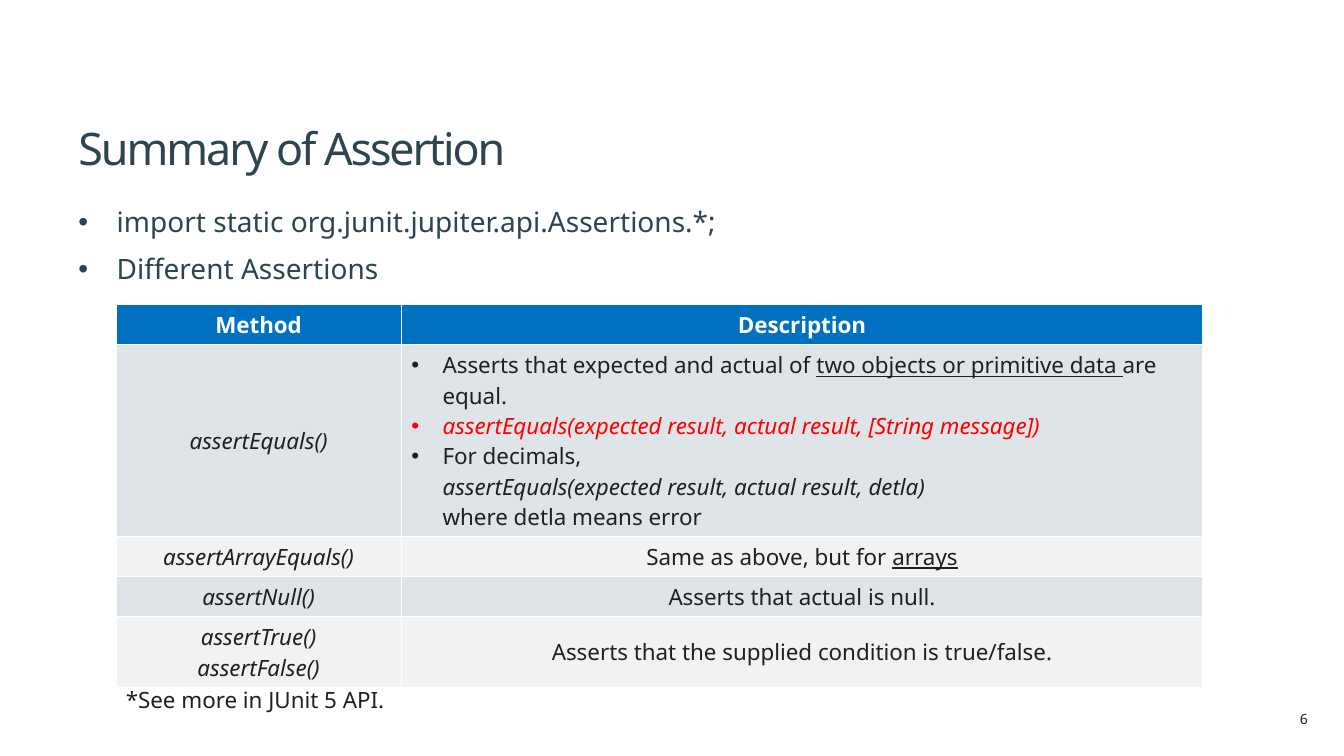
import pptx
import pptx.dml.color
import pptx.enum.text
import pptx.oxml.ns
import pptx.util
from lxml import etree

Inches = pptx.util.Inches
Pt = pptx.util.Pt
RGBColor = pptx.dml.color.RGBColor
PP_ALIGN = pptx.enum.text.PP_ALIGN
MSO_ANCHOR = pptx.enum.text.MSO_ANCHOR
qn = pptx.oxml.ns.qn

SLATE = RGBColor(0x2E, 0x44, 0x4E)
INK = RGBColor(0x23, 0x1F, 0x20)
WHITE = RGBColor(0xFF, 0xFF, 0xFF)
RED = RGBColor(0xFF, 0x00, 0x00)
HEADER_BLUE = RGBColor(0x00, 0x70, 0xC0)
BAND_DARK = RGBColor(0xDF, 0xE4, 0xE8)
BAND_LIGHT = RGBColor(0xF0, 0xF2, 0xF4)

BREAK = ("\n", "")

# A cell is a list of paragraphs, a paragraph a list of (text, style) pieces.
# Style letters: b bold, i italic, u underlined, r red.
HEADER = [[[("Method", "b")]], [[("Description", "b")]]]
ROWS = [
    [
        [[("assertEquals()", "i")]],
        [
            [("Asserts that expected and actual of ", ""),
             ("two objects or primitive data ", "u"), ("are equal.", "")],
            [("assertEquals(expected result, actual result, [String message])", "ir")],
            [("For decimals, ", ""), BREAK,
             ("assertEquals(expected result, actual result, detla)", "i"), BREAK,
             ("where detla means error", "")],
        ],
    ],
    [[[("assertArrayEquals()", "i")]],
     [[("Same as above, but for ", ""), ("arrays", "u")]]],
    [[[("assertNull()", "i")]], [[("Asserts that actual is null.", "")]]],
    [[[("assertTrue()", "i"), BREAK, ("assertFalse()", "i")]],
     [[("Asserts that the supplied condition is true/false.", "")]]],
]


class SlideBuilder:
    font = "Noto Sans"

    def __init__(self, slide):
        self.slide = slide

    def add_pieces(self, p, pieces, size, color):
        """Fill a paragraph with styled pieces."""
        for text, style in pieces:
            if text == "\n":
                p.add_line_break()
                continue
            r = p.add_run()
            r.text = text
            r.font.name = self.font
            r.font.size = Pt(size)
            r.font.color.rgb = RED if "r" in style else color
            r.font.bold = "b" in style
            r.font.italic = "i" in style
            r.font.underline = "u" in style
        for br in p._p.findall(qn("a:br")):
            etree.SubElement(br, qn("a:rPr")).set("sz", str(size * 100))

    def bullet(self, p, indent):
        pPr = p._p.get_or_add_pPr()
        pPr.set("marL", str(Inches(indent)))
        pPr.set("indent", str(-Inches(indent)))
        etree.SubElement(pPr, qn("a:buFont")).set("typeface", "Arial")
        etree.SubElement(pPr, qn("a:buChar")).set("char", "•")

    def text(self, box, lines, size, color, align=PP_ALIGN.LEFT,
             anchor=MSO_ANCHOR.TOP, wrap=True):
        """Add a text box with one paragraph per line and return its paragraphs."""
        sp = self.slide.shapes.add_textbox(*map(Inches, box))
        tf = sp.text_frame
        tf.word_wrap = wrap
        tf.vertical_anchor = anchor
        for i, line in enumerate(lines):
            p = tf.add_paragraph() if i else tf.paragraphs[0]
            p.alignment = align
            self.add_pieces(p, [(line, "")], size, color)
        return tf.paragraphs

    def title(self, box, line):
        p, = self.text(box, [line], 32, SLATE, anchor=MSO_ANCHOR.BOTTOM)
        p.runs[0].font._element.set("spc", "-150")

    def bullets(self, box, lines):
        for p in self.text(box, lines, 20, SLATE):
            p.line_spacing = 0.9
            p.space_after = Pt(12)
            self.bullet(p, 0.38)

    def cell(self, cell, paragraphs, fill, color):
        cell.fill.solid()
        cell.fill.fore_color.rgb = fill
        cell.vertical_anchor = MSO_ANCHOR.MIDDLE
        tf = cell.text_frame
        for i, pieces in enumerate(paragraphs):
            p = tf.add_paragraph() if i else tf.paragraphs[0]
            if len(paragraphs) > 1:
                p.alignment = PP_ALIGN.LEFT
                self.bullet(p, 0.31)
            else:
                p.alignment = PP_ALIGN.CENTER
            self.add_pieces(p, pieces, 16, color)

    def table(self, left, top, widths, heights, header, rows):
        frame = self.slide.shapes.add_table(
            len(heights), len(widths), Inches(left), Inches(top),
            Inches(sum(widths)), Inches(sum(heights)))
        table = frame.table
        for column, width in zip(table.columns, widths):
            column.width = Inches(width)
        for row, height in zip(table.rows, heights):
            row.height = Inches(height)
        for i, cells in enumerate([header] + rows):
            if i == 0:
                fill, color = HEADER_BLUE, WHITE
            else:
                fill, color = (BAND_DARK if i % 2 else BAND_LIGHT), INK
            for j, paragraphs in enumerate(cells):
                self.cell(table.cell(i, j), paragraphs, fill, color)


def main():
    prs = pptx.Presentation()
    prs.slide_width = Inches(13.33)
    prs.slide_height = Inches(7.5)
    s = SlideBuilder(prs.slides.add_slide(prs.slide_layouts[6]))

    s.text((12.02, 7, 1.05, 0.27), ["6"], 10, INK, align=PP_ALIGN.RIGHT)
    s.title((0.68, 0.76, 11.86, 1.02), "Summary of Assertion")
    s.bullets((0.68, 2.02, 11.86, 4.8),
              ["import static org.junit.jupiter.api.Assertions.*;",
               "Different Assertions"])
    s.table(1.15, 3.02, [2.83, 7.95], [0.4, 1.9, 0.4, 0.4, 0.7], HEADER, ROWS)
    s.text((1.15, 6.76, 2.88, 0.37), ["*See more in JUnit 5 API."], 16, INK,
           wrap=False)
    prs.save("out.pptx")


if __name__ == "__main__":
    main()
